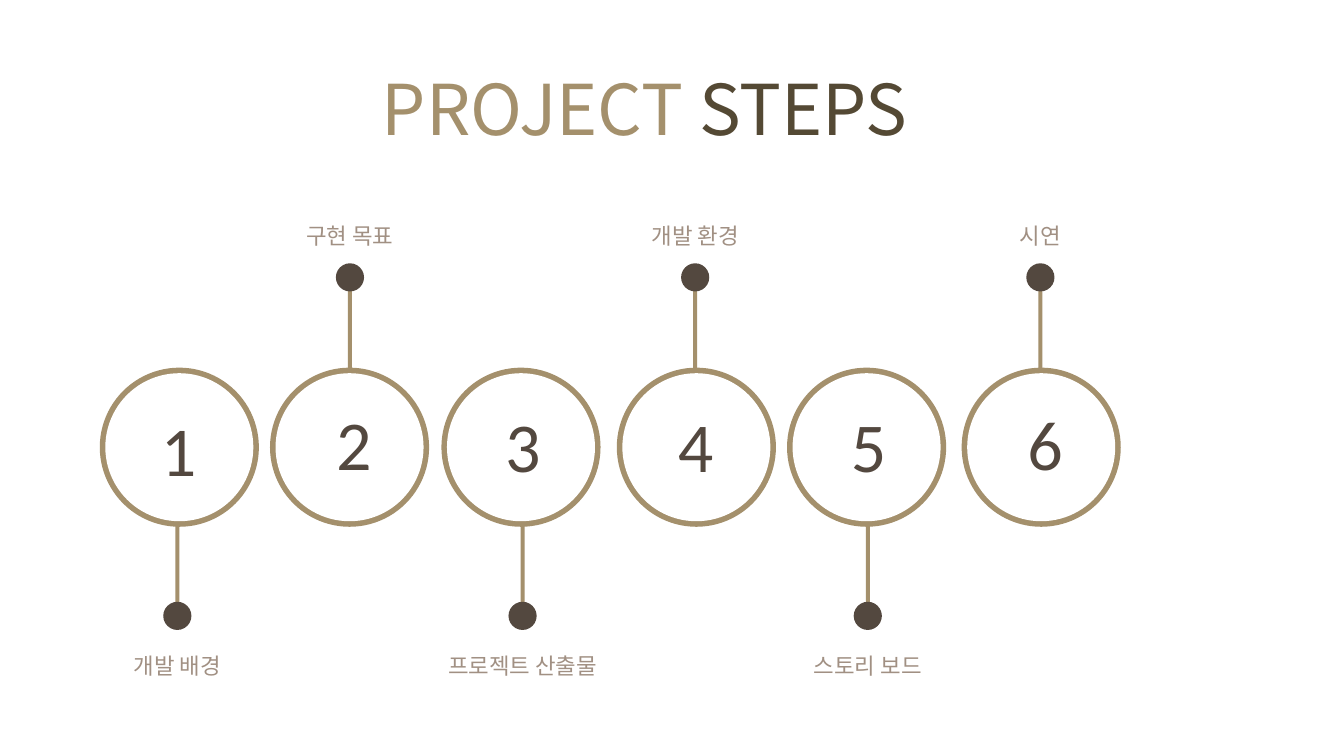
from pptx import Presentation
from pptx import util as u
from pptx.dml.color import RGBColor
from pptx.enum import shapes, text
from lxml import etree

COLORS = {
    "gold": "A4906C",
    "olive": "544934",
    "brown": "53483F",
    "label": "A19083",
    "white": "FFFFFF",
}
KOREAN_FONT = "Noto Sans CJK KR"
DRAWING_NS = "http://schemas.openxmlformats.org/drawingml/2006/main"

FIRST_CENTER, STEP_PITCH = 4.47, 4.35
RING_MIDDLE, RING_SIZE, HOLE_SIZE, DOT_SIZE = 11.27, 4.01, 3.73, 0.71
STEM_WIDTH, STEM_HEIGHT = 0.1, 2.68

# Vertical places for steps whose label is above or below the ring
ABOVE = {"label": 5.36, "dot": 6.99, "stem": 6.96}
BELOW = {"label": 16.21, "dot": 15.52, "stem": 12.88}

# Label, ring centre, number centre, number top
STEPS = [
    ("개발 배경", 4.52, 4.5, 10.11),
    ("구현 목표", 8.81, 8.92, 9.98),
    ("프로젝트 산출물", 13.13, 13.18, 10.01),
    ("개발 환경", 17.55, 17.53, 10.03),
    ("스토리 보드", 21.84, 21.89, 10.01),
    ("시연", 26.24, 26.34, 9.98),
]


class StepsSlide:
    def __init__(self, deck):
        self.page = deck.slides.add_slide(deck.slide_layouts[6])

    def shape(self, parent, kind, center, top, width, height, color):
        item = parent.add_shape(kind, u.Cm(center - width / 2), u.Cm(top),
                                u.Cm(width), u.Cm(height))
        item.shadow.inherit = False
        item.fill.solid()
        item.fill.fore_color.rgb = RGBColor.from_string(COLORS[color])
        item.line.fill.background()
        return item

    def circle(self, parent, center, middle, size, color):
        self.shape(parent, shapes.MSO_SHAPE.OVAL, center, middle - size / 2,
                   size, size, color)

    def stem(self, parent, center, top):
        bar = self.shape(parent, shapes.MSO_SHAPE.ROUNDED_RECTANGLE, center,
                         top, STEM_WIDTH, STEM_HEIGHT, "gold")
        bar.adjustments[0] = 0.5

    def text(self, parent, center, top, width, height, spans, size, font,
             align=text.PP_ALIGN.CENTER, wrap=True, spacing=None):
        """Add a one-paragraph text box; spans are (words, colour) pairs."""
        box = parent.add_textbox(u.Cm(center - width / 2), u.Cm(top),
                                 u.Cm(width), u.Cm(height))
        frame = box.text_frame
        frame.word_wrap = wrap
        frame.auto_size = text.MSO_AUTO_SIZE.SHAPE_TO_FIT_TEXT
        para = frame.paragraphs[0]
        para.alignment = align
        if spacing:
            para.line_spacing = u.Pt(spacing)
        for words, color in spans:
            span = para.add_run()
            span.text = words
            span.font.size = u.Pt(size)
            span.font.name = font
            span.font.color.rgb = RGBColor.from_string(COLORS[color])
            east_asian = etree.SubElement(span.font._element, f"{{{DRAWING_NS}}}ea")
            east_asian.set("typeface", KOREAN_FONT)

    def title(self):
        self.text(self.page.shapes, 16.99, 1.52, 15.24, 2.39,
                  [("PROJECT ", "gold"), ("STEPS", "olive")], 50, KOREAN_FONT,
                  align=text.PP_ALIGN.LEFT)

    def step(self, index, label, ring_center, number_center, number_top):
        group = self.page.shapes.add_group_shape().shapes
        center = FIRST_CENTER + index * STEP_PITCH
        place = ABOVE if index % 2 else BELOW
        self.stem(group, center, place["stem"])
        self.circle(group, ring_center, RING_MIDDLE, RING_SIZE, "gold")
        self.circle(group, ring_center, RING_MIDDLE, HOLE_SIZE, "white")
        self.circle(group, center, place["dot"], DOT_SIZE, "brown")
        self.text(group, center, place["label"], 6.15, 0.97,
                  [(label, "label")], 16, "Lato", spacing=22.2)
        self.text(group, number_center, number_top, 1.42, 2.39,
                  [(str(index + 1), "brown")], 50, "Calibri", wrap=False)


def main():
    deck = Presentation()
    deck.slide_width, deck.slide_height = u.Cm(33.87), u.Cm(19.05)
    slide = StepsSlide(deck)
    slide.title()
    for index, step in enumerate(STEPS):
        slide.step(index, *step)
    deck.save("out.pptx")


if __name__ == "__main__":
    main()
